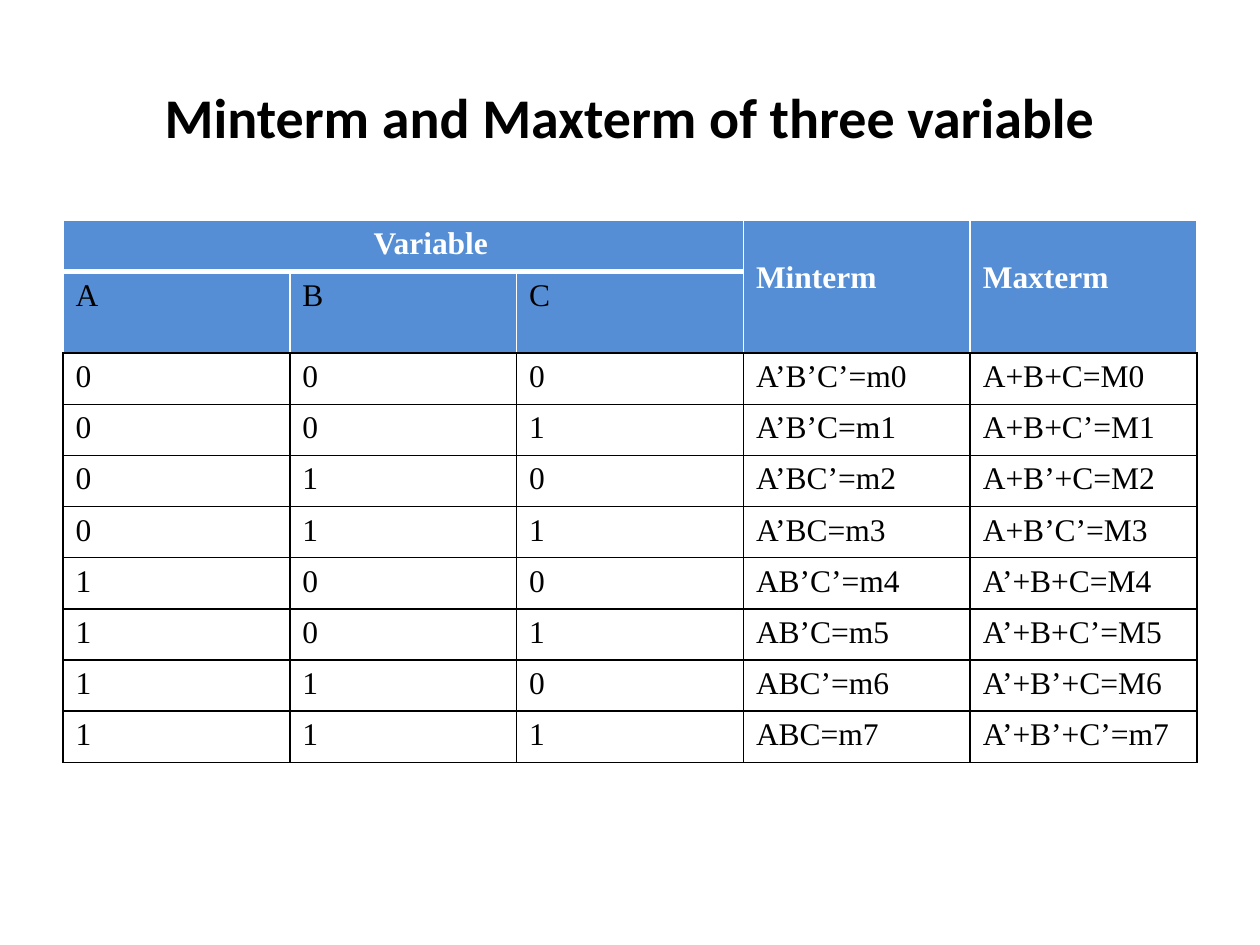
from lxml.etree import SubElement
from pptx import Presentation
from pptx.dml.color import RGBColor
from pptx.enum.text import MSO_ANCHOR, PP_ALIGN
from pptx.oxml.ns import qn
from pptx.util import Inches, Pt

HEADER_ROWS = [["Variable", "", "", "Minterm", "Maxterm"], ["A", "B", "C", "", ""]]
TERMS = [
    ("A’B’C’=m0", "A+B+C=M0"),
    ("A’B’C=m1", "A+B+C’=M1"),
    ("A’BC’=m2", "A+B’+C=M2"),
    ("A’BC=m3", "A+B’C’=M3"),
    ("AB’C’=m4", "A’+B+C=M4"),
    ("AB’C=m5", "A’+B+C’=M5"),
    ("ABC’=m6", "A’+B’+C=M6"),
    ("ABC=m7", "A’+B’+C’=m7"),
]
TRUTH_ROWS = [[*f"{number:03b}", *terms] for number, terms in enumerate(TERMS)]


def color(value):
    return RGBColor.from_string(value)


class TermSlide:
    BLUE, WHITE, BLACK = "558ED5", "FFFFFF", "000000"
    TITLE_FONT, TABLE_FONT = "Calibri", "Times New Roman"

    def __init__(self, deck):
        self.width, self.height = deck.slide_width, deck.slide_height
        self.page = deck.slides.add_slide(deck.slide_layouts[5])

    def box(self, left, top, width, height):
        return (round(left * self.width), round(top * self.height),
                round(width * self.width), round(height * self.height))

    def style(self, para, font, size, ink, bold):
        for span in para.runs:
            span.font.name, span.font.size, span.font.bold = font, Pt(size), bold
            span.font.color.rgb = color(ink)

    def title(self, text, *place):
        title = self.page.shapes.title
        title.left, title.top, title.width, title.height = self.box(*place)
        frame = title.text_frame
        frame.text = text
        frame.vertical_anchor = MSO_ANCHOR.MIDDLE
        frame.paragraphs[0].alignment = PP_ALIGN.CENTER
        self.style(frame.paragraphs[0], self.TITLE_FONT, 32, self.BLACK, True)

    def borders(self, cell, left, right, top, bottom):
        properties = cell._tc.get_or_add_tcPr()
        sides = {"L": left, "R": right, "T": top, "B": bottom}
        for side, (ink, points) in sides.items():
            line = SubElement(properties, qn(f"a:ln{side}"), w=str(Pt(points)))
            SubElement(SubElement(line, qn("a:solidFill")), qn("a:srgbClr"), val=ink)

    def cell(self, cell, text, fill, ink, bold, edges):
        self.borders(cell, *edges)
        cell.fill.solid()
        cell.fill.fore_color.rgb = color(fill)
        para = cell.text_frame.paragraphs[0]
        para.text = text
        para.font.size = Pt(18)
        self.style(para, self.TABLE_FONT, 18, ink, bold)

    def table(self, headers, body, *place):
        rows, columns = len(headers) + len(body), len(headers[0])
        table = self.page.shapes.add_table(rows, columns, *self.box(*place)).table
        white, thick, black = (self.WHITE, 1), (self.WHITE, 3), (self.BLACK, 1)
        for column, text in enumerate(headers[0]):
            divider = thick if column < 3 else black
            self.cell(table.cell(0, column), text, self.BLUE, self.WHITE, True,
                      (white, white, white, divider))
        for column, text in enumerate(headers[1]):
            divider = thick if column < 3 else white
            self.cell(table.cell(1, column), text, self.BLUE, self.BLACK, False,
                      (white, white, divider, black))
        for row, values in enumerate(body, len(headers)):
            for column, text in enumerate(values):
                self.cell(table.cell(row, column), text, self.WHITE, self.BLACK, False,
                          [black] * 4)
        variable = table.cell(0, 0)
        variable.merge(table.cell(0, 2))
        variable.margin_left = Inches(0.54)
        variable.text_frame.paragraphs[0].alignment = PP_ALIGN.CENTER
        for column in (3, 4):
            table.cell(0, column).merge(table.cell(1, column))
            table.cell(0, column).margin_top = Inches(0.32)
        table.rows[1].height = Inches(0.63)


def main():
    deck = Presentation()
    deck.slide_width, deck.slide_height = Inches(10), Inches(7.5)
    slide = TermSlide(deck)
    slide.title("Minterm and Maxterm of three variable", 0.05, 0.04, 0.9, 1 / 6)
    slide.table(HEADER_ROWS, TRUTH_ROWS, 0.05, 1.75 / 7.5, 0.9, 4.06 / 7.5)
    deck.save("out.pptx")


if __name__ == "__main__":
    main()
